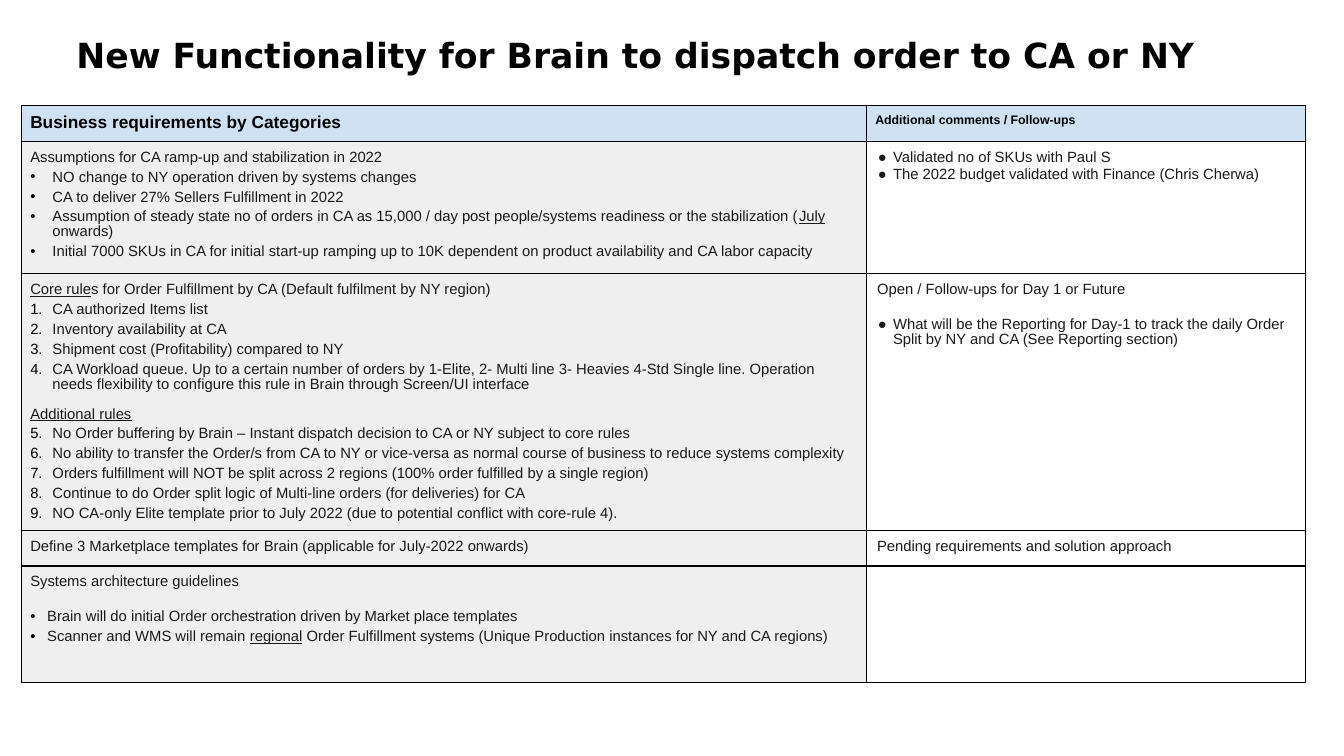
from dataclasses import dataclass

from lxml.etree import SubElement
from pptx import Presentation
from pptx.dml.color import RGBColor
from pptx.enum.text import MSO_ANCHOR as Anchor, PP_ALIGN as Align
from pptx.oxml.ns import qn
from pptx.slide import Slide
from pptx.table import _Cell as Cell
from pptx.text.text import _Paragraph as TextParagraph
from pptx.util import Inches, Pt


@dataclass(frozen=True)
class Theme:
    title_font: str = "DejaVu Sans"
    body_font: str = "Arial"
    black: str = "000000"
    ink: str = "1A1A1A"
    header_fill: str = "CFE2F3"
    category_fill: str = "EFEFEF"
    title_size: float = 28
    header_size: float = 14
    side_header_size: float = 10
    body_size: float = 12
    line_spacing: float = 0.9
    border: float = 1


THEME = Theme()


@dataclass(frozen=True)
class ListStyle:
    """Indents in inches, space before in points; a start number makes it numbered."""
    margin: float = 0
    hanging: float = 0
    before: float = 0
    mark: str = ""
    start: int = 0
    mark_color: str = THEME.black


@dataclass(frozen=True)
class Entry:
    text: str
    style: ListStyle = ListStyle()
    underlined: str = ""
    size: float = THEME.body_size
    color: str = THEME.ink
    bold: bool = False


HEADING = ListStyle()
LATER_HEADING = ListStyle(before=12)
DOT = ListStyle(0.25, 0.25, 4, "•")
CORE_RULE = ListStyle(0.25, 0.25, 4, start=1)
ADDITIONAL_RULE = ListStyle(0.25, 0.25, 4, start=5)
GUIDELINE_FIRST = ListStyle(0.19, 0.19, 16, "•")
GUIDELINE = ListStyle(0.19, 0.19, 4, "•")
COMMENT_HEADING = ListStyle(margin=0.02)
COMMENT = ListStyle(0.2, 0.17, 2, "●", mark_color=THEME.ink)
COMMENT_AFTER_GAP = ListStyle(0.2, 0.17, 16, "●", mark_color=THEME.ink)

TITLE = "New Functionality for Brain to dispatch order to CA or NY"
COLUMN_WIDTHS = (9.5, 4.94)
ROW_HEIGHTS = (0.4, 1.49, 2.88, 0.4, 1.31)
REQUIREMENTS: list[tuple[list[Entry], list[Entry]]] = [
    (
        [Entry("Business requirements by Categories", size=THEME.header_size,
               color=THEME.black, bold=True)],
        [Entry("Additional comments / Follow-ups", size=THEME.side_header_size,
               color=THEME.black, bold=True)],
    ),
    (
        [
            Entry("Assumptions for CA ramp-up and stabilization in 2022", HEADING),
            Entry("NO change to NY operation driven by systems changes", DOT),
            Entry("CA to deliver 27% Sellers Fulfillment in 2022", DOT),
            Entry("Assumption of steady state no of orders in CA as 15,000 / day post "
                  "people/systems readiness or the stabilization (July onwards)", DOT, "July"),
            Entry("Initial 7000 SKUs in CA for initial start-up ramping up to 10K dependent "
                  "on product availability and CA labor capacity", DOT),
        ],
        [
            Entry("Validated no of SKUs with Paul S", COMMENT),
            Entry("The 2022 budget validated with Finance (Chris Cherwa)", COMMENT),
        ],
    ),
    (
        [
            Entry("Core rules for Order Fulfillment by CA (Default fulfilment by NY region)",
                  HEADING, "Core rule"),
            Entry("CA authorized Items list", CORE_RULE),
            Entry("Inventory availability at CA", CORE_RULE),
            Entry("Shipment cost (Profitability) compared to NY", CORE_RULE),
            Entry("CA Workload queue. Up to a certain number of orders by 1-Elite, 2- Multi line "
                  "3- Heavies 4-Std Single line. Operation needs flexibility to configure this "
                  "rule in Brain through Screen/UI interface", CORE_RULE),
            Entry("Additional rules", LATER_HEADING, "Additional rules"),
            Entry("No Order buffering by Brain – Instant dispatch decision to CA or NY subject "
                  "to core rules", ADDITIONAL_RULE),
            Entry("No ability to transfer the Order/s from CA to NY or vice-versa as normal "
                  "course of business to reduce systems complexity", ADDITIONAL_RULE),
            Entry("Orders fulfillment will NOT be split across 2 regions (100% order fulfilled "
                  "by a single region)", ADDITIONAL_RULE),
            Entry("Continue to do Order split logic of Multi-line orders (for deliveries) for CA",
                  ADDITIONAL_RULE),
            Entry("NO CA-only Elite template prior to July 2022 (due to potential conflict with "
                  "core-rule 4).", ADDITIONAL_RULE),
        ],
        [
            Entry("Open / Follow-ups for Day 1 or Future", COMMENT_HEADING),
            Entry("What will be the Reporting for Day-1 to track the daily Order Split by NY and "
                  "CA (See Reporting section)", COMMENT_AFTER_GAP),
        ],
    ),
    (
        [Entry("Define 3 Marketplace templates for Brain (applicable for July-2022 onwards)")],
        [Entry("Pending requirements and solution approach", COMMENT_HEADING)],
    ),
    (
        [
            Entry("Systems architecture guidelines", HEADING),
            Entry("Brain will do initial Order orchestration driven by Market place templates",
                  GUIDELINE_FIRST),
            Entry("Scanner and WMS will remain regional Order Fulfillment systems (Unique "
                  "Production instances for NY and CA regions)", GUIDELINE, "regional"),
        ],
        [],
    ),
]


def add_run(paragraph: TextParagraph, text: str, font: str, size: float, color: str,
            bold: bool, underline: bool = False) -> None:
    run = paragraph.add_run()
    run.text = text
    run.font.name = font
    run.font.size = Pt(size)
    run.font.color.rgb = RGBColor.from_string(color)
    run.font.bold = bold
    run.font.underline = underline


def apply_list_style(paragraph: TextParagraph, style: ListStyle) -> None:
    paragraph.line_spacing = THEME.line_spacing
    paragraph.space_before = Pt(style.before)
    properties = paragraph._p.get_or_add_pPr()
    properties.set("marL", str(Inches(style.margin)))
    properties.set("indent", str(-Inches(style.hanging)))
    if not (style.mark or style.start):
        return
    mark_color = SubElement(properties, qn("a:buClr"))
    SubElement(mark_color, qn("a:srgbClr"), val=style.mark_color)
    SubElement(properties, qn("a:buFont"), typeface=THEME.body_font)
    if style.start:
        SubElement(properties, qn("a:buAutoNum"), type="arabicPeriod", startAt=str(style.start))
    else:
        SubElement(properties, qn("a:buChar"), char=style.mark)


def write_entry(paragraph: TextParagraph, entry: Entry) -> None:
    apply_list_style(paragraph, entry.style)
    before, phrase, after = (entry.text.partition(entry.underlined) if entry.underlined
                             else (entry.text, "", ""))
    for text, underline in ((before, False), (phrase, True), (after, False)):
        if text:
            add_run(paragraph, text, THEME.body_font, entry.size, entry.color,
                    entry.bold, underline)


def add_borders(cell: Cell) -> None:
    properties = cell._tc.get_or_add_tcPr()
    for side in ("lnL", "lnR", "lnT", "lnB"):
        line = SubElement(properties, qn(f"a:{side}"), w=str(Pt(THEME.border)))
        fill = SubElement(line, qn("a:solidFill"))
        SubElement(fill, qn("a:srgbClr"), val=THEME.black)


def fill_cell(cell: Cell, entries: list[Entry], fill: str | None) -> None:
    cell.margin_left = cell.margin_right = cell.margin_top = cell.margin_bottom = Inches(0.1)
    add_borders(cell)
    if fill:
        cell.fill.solid()
        cell.fill.fore_color.rgb = RGBColor.from_string(fill)
    else:
        cell.fill.background()
    for index, entry in enumerate(entries):
        frame = cell.text_frame
        write_entry(frame.add_paragraph() if index else frame.paragraphs[0], entry)


def add_title(slide: Slide) -> None:
    title = slide.shapes.title
    title.left, title.top = Inches(0.76), Inches(0.14)
    title.width, title.height = Inches(13.52), Inches(0.95)
    frame = title.text_frame
    frame.margin_left = frame.margin_right = Inches(0.1)
    frame.vertical_anchor = Anchor.MIDDLE
    heading = frame.paragraphs[0]
    heading.alignment = Align.LEFT
    add_run(heading, TITLE, THEME.title_font, THEME.title_size, THEME.black, bold=True)


def add_requirements(slide: Slide) -> None:
    table = slide.shapes.add_table(
        len(ROW_HEIGHTS), len(COLUMN_WIDTHS), Inches(0.24), Inches(1.19),
        Inches(sum(COLUMN_WIDTHS)), Inches(sum(ROW_HEIGHTS))).table
    table.horz_banding = False
    for column, width in zip(table.columns, COLUMN_WIDTHS):
        column.width = Inches(width)
    for row_index, (row, height) in enumerate(zip(table.rows, ROW_HEIGHTS)):
        row.height = Inches(height)
        fills = ((THEME.category_fill, None) if row_index
                 else (THEME.header_fill, THEME.header_fill))
        for cell, entries, fill in zip(row.cells, REQUIREMENTS[row_index], fills):
            fill_cell(cell, entries, fill)


def main() -> None:
    deck = Presentation()
    deck.slide_width, deck.slide_height = Inches(15.11), Inches(8.5)
    slide = deck.slides.add_slide(deck.slide_layouts.get_by_name("Title Only"))
    add_title(slide)
    add_requirements(slide)
    deck.save("out.pptx")


if __name__ == "__main__":
    main()
